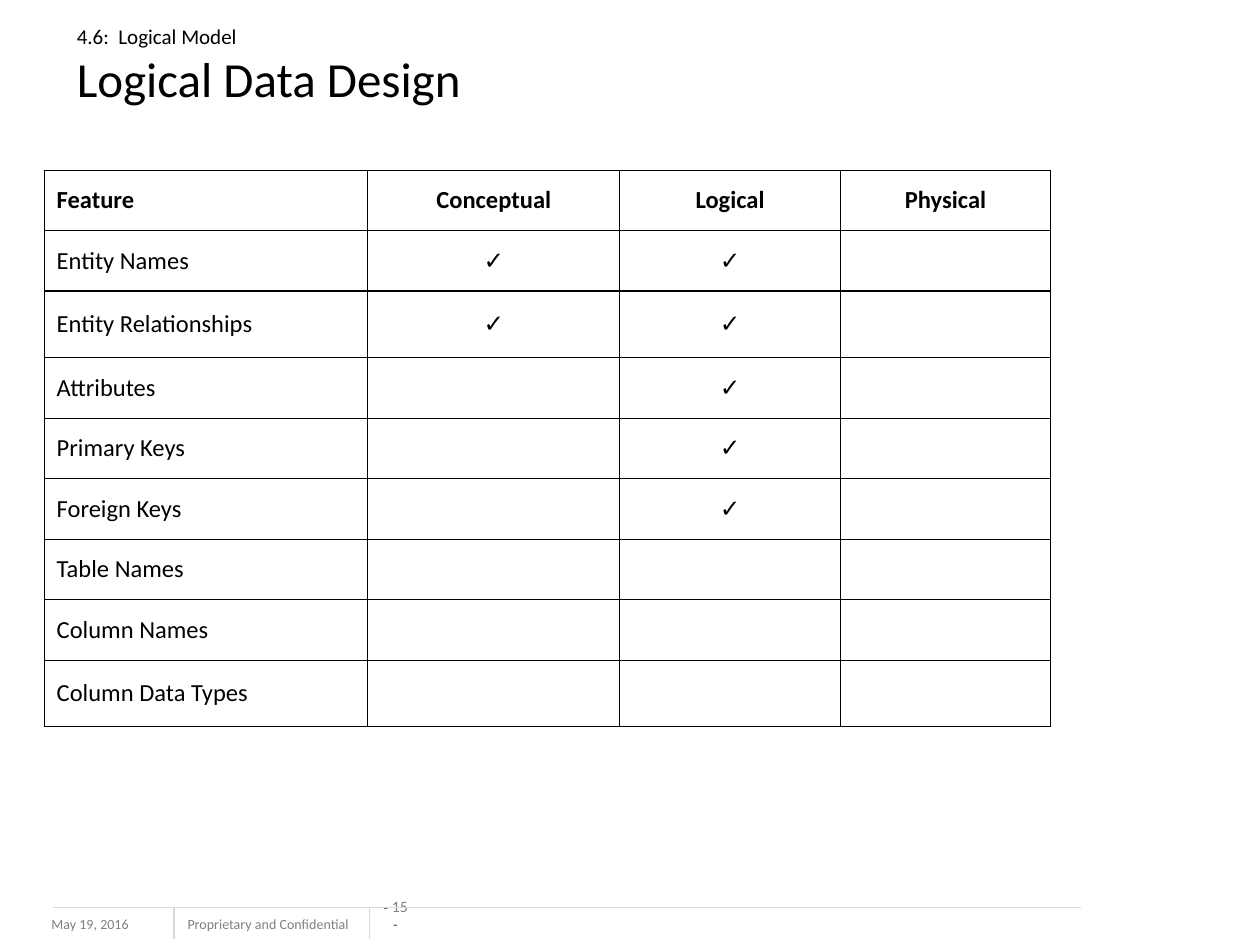
from pptx import Presentation
from pptx.dml.color import RGBColor as RGB
from pptx.enum.shapes import MSO_CONNECTOR as Line
from pptx.enum.text import MSO_ANCHOR as Anchor, PP_ALIGN as Align
from pptx.oxml import parse_xml
from pptx.oxml.ns import nsdecls
from pptx.util import Inches, Pt

BLACK = RGB(0x00, 0x00, 0x00)
GRAY = RGB(0x80, 0x80, 0x80)
PALE = RGB(0xD9, 0xD9, 0xD9)
BLUE = RGB(0x1F, 0x49, 0x7D)


def write(para, text, size=14, color=BLACK, face="Calibri", bold=False, align=Align.LEFT):
    para.alignment = align
    run = para.add_run()
    run.text = text
    font = run.font
    font.size, font.name, font.bold = Pt(size), face, bold
    font.color.rgb = color


def edge(cell):
    props = cell._tc.get_or_add_tcPr()
    for spot, side in enumerate(("lnL", "lnR", "lnT", "lnB")):
        props.insert(spot, parse_xml(
            f'<a:{side} {nsdecls("a")} w="{Pt(0.75)}"><a:solidFill>'
            f'<a:srgbClr val="{BLACK}"/></a:solidFill></a:{side}>'))


deck = Presentation()
deck.slide_width, deck.slide_height = Inches(10), Inches(7.5)
slide = deck.slides.add_slide(deck.slide_layouts[5])
shapes = slide.shapes

title = shapes.title
title.left, title.top = Inches(0.51), Inches(0.13)
title.width, title.height = Inches(9), Inches(0.78)
title.text_frame.vertical_anchor = Anchor.MIDDLE
head = title.text_frame.paragraphs[0]
write(head, "4.6:  Logical Model", size=12)
head.add_line_break()
write(head, "Logical Data Design", size=28)

rule = 7.2
for left, width, text in ((0.31, 1.33, "May 19, 2016"),
                          (1.39, 1.57, "Proprietary and Confidential")):
    box = shapes.add_textbox(Inches(left), Inches(rule + 0.02), Inches(width), Inches(0.25))
    box.text_frame.word_wrap = True
    write(box.text_frame.paragraphs[0], text, size=8, color=GRAY)

page = shapes.add_textbox(Inches(3.01), Inches(rule + 0.05), Inches(0.26), Inches(0.15))
frame = page.text_frame
frame.word_wrap = True
frame.vertical_anchor = Anchor.BOTTOM
frame.margin_left = frame.margin_right = frame.margin_top = frame.margin_bottom = 0
for text, size, color, face in (("- ", 8, BLUE, "Arial"),
                                ("15 ", 9, GRAY, "Calibri"),
                                ("-", 8, BLUE, "Arial")):
    write(frame.paragraphs[0], text, size=size, color=color, face=face, align=Align.CENTER)

for x, y, end, base in ((0.42, rule, 8.58, rule),
                        (1.38, rule, 1.38, rule + 0.25),
                        (2.93, rule, 2.93, rule + 0.25)):
    line = shapes.add_connector(Line.STRAIGHT, Inches(x), Inches(y), Inches(end), Inches(base))
    line.line.color.rgb = PALE
    line.line.width = Pt(0.75)
    line._element.spPr.append(parse_xml(f'<a:effectLst {nsdecls("a")}/>'))

MARK = "✓"
rows = (("Feature", "Conceptual", "Logical", "Physical"),
        ("Entity Names", MARK, MARK, ""),
        ("Entity Relationships", MARK, MARK, ""),
        ("Attributes", "", MARK, ""),
        ("Primary Keys", "", MARK, ""),
        ("Foreign Keys", "", MARK, ""),
        ("Table Names", "", "", ""),
        ("Column Names", "", "", ""),
        ("Column Data Types", "", "", ""))
cols = (2.57, 2, 1.75, 1.67)
tall = (2, 8)

table = shapes.add_table(len(rows), len(cols), Inches(0.35), Inches(1.35),
                         Inches(sum(cols)), Inches(4.39)).table
table.first_row = table.horz_banding = False
for col, width in zip(table.columns, cols):
    col.width = Inches(width)
for r, row in enumerate(rows):
    table.rows[r].height = Inches(0.53 if r in tall else 0.48)
    for c, text in enumerate(row):
        cell = table.cell(r, c)
        cell.fill.background()
        cell.vertical_anchor = Anchor.MIDDLE
        edge(cell)
        if text:
            write(cell.text_frame.paragraphs[0], text, bold=r == 0,
                  align=Align.CENTER if c else Align.LEFT)

deck.save("out.pptx")
